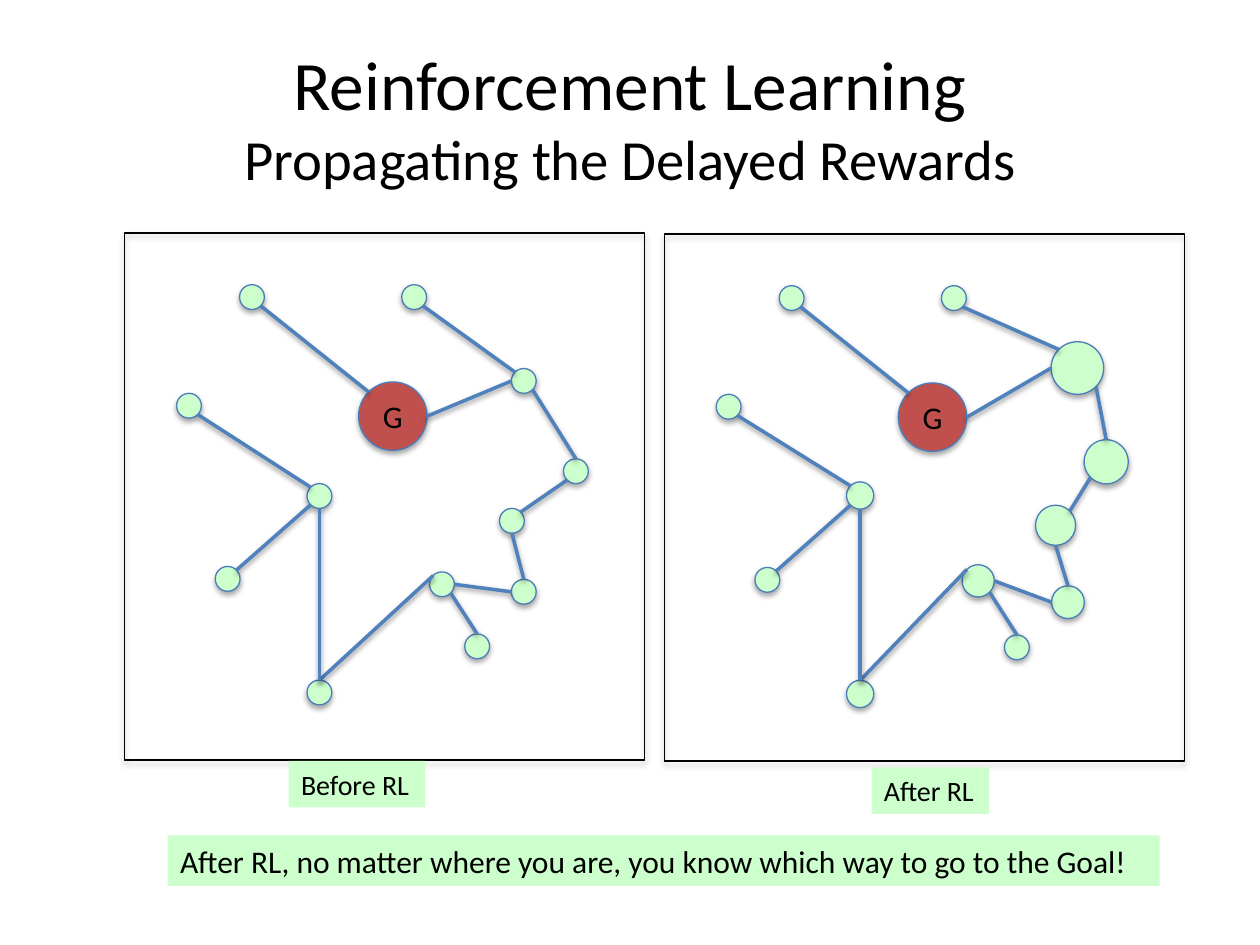
"""Build the slide on propagating delayed rewards in reinforcement learning."""
import math

import pptx
import pptx.dml.color
import pptx.enum.shapes
import pptx.enum.text
import pptx.oxml
import pptx.oxml.ns
import pptx.util

Cm = pptx.util.Cm
Pt = pptx.util.Pt
RGB = pptx.dml.color.RGBColor.from_string
SHAPE = pptx.enum.shapes.MSO_SHAPE
ALIGN = pptx.enum.text.PP_ALIGN
ANCHOR = pptx.enum.text.MSO_ANCHOR

COLORS = {
    "text": "000000",
    "frame": "000000",
    "goal": "C0504D",
    "state": "CCFFCC",
    "outline": "4A7DBA",
    "path": "4F81BD",
}

SMALL = 0.5
BEFORE = {
    "goal": (7.92, 8.39, 1.38),
    "upper right": (8.35, 5.99, SMALL),
    "gate": (10.56, 7.68, SMALL),
    "corner": (10.56, 11.93, SMALL),
    "hub": (6.44, 10.0, SMALL),
    "step": (11.61, 9.5, SMALL),
    "upper left": (5.08, 5.99, SMALL),
    "bottom": (6.44, 13.96, SMALL),
    "left": (3.81, 8.18, SMALL),
    "fork": (8.91, 11.78, SMALL),
    "lower left": (4.59, 11.67, SMALL),
    "spur": (9.62, 13.03, SMALL),
    "bend": (10.32, 10.5, SMALL),
}
AFTER = BEFORE | {
    "gate": (10.84, 7.4, 1.06),
    "corner": (10.65, 12.12, 0.66),
    "hub": (6.46, 9.97, 0.55),
    "step": (11.42, 9.29, 0.89),
    "bottom": (6.46, 13.97, 0.55),
    "fork": (8.84, 11.69, 0.65),
    "bend": (10.4, 10.57, 0.81),
}
PANELS = [(BEFORE, 0, 0), (AFTER, 10.88, 0.02)]

RIGHT, LOWER_RIGHT, BOTTOM, LOWER_LEFT = 0, 45, 90, 135
LEFT, UPPER_LEFT, TOP, UPPER_RIGHT = 180, 225, 270, 315
PATHS = [
    ("goal", UPPER_LEFT, "upper left", LOWER_RIGHT),
    ("goal", RIGHT, "gate", LEFT),
    ("upper right", LOWER_RIGHT, "gate", UPPER_LEFT),
    ("gate", LOWER_RIGHT, "step", TOP),
    ("step", LOWER_LEFT, "bend", UPPER_RIGHT),
    ("bend", BOTTOM, "corner", TOP),
    ("corner", LEFT, "fork", RIGHT),
    ("fork", UPPER_LEFT, "bottom", TOP),
    ("bottom", TOP, "hub", BOTTOM),
    ("hub", UPPER_LEFT, "left", LOWER_RIGHT),
    ("hub", LOWER_LEFT, "lower left", UPPER_RIGHT),
    ("fork", LOWER_RIGHT, "spur", TOP),
]

CAPTIONS = [
    ("Before RL", 16, (5.82, 15.34, 2.75, 0.94)),
    ("After RL", 16, (17.57, 15.47, 2.37, 0.94)),
    ("After RL, no matter where you are, you know which way to go to the Goal!",
     18, (3.38, 16.84, 20.0, 1.02)),
]


def style_line(shape, color, width, opacity, distance):
    """Give a shape or connector its line and a soft shadow below."""
    shape.line.color.rgb = RGB(COLORS[color])
    shape.line.width = Pt(width)
    shape._element.spPr.append(pptx.oxml.parse_xml(
        f'<a:effectLst {pptx.oxml.ns.nsdecls("a")}>'
        f'<a:outerShdw blurRad="{Pt(3.1)}" dist="{Pt(distance)}" dir="5400000"'
        f' rotWithShape="0"><a:srgbClr val="000000"><a:alpha val="{opacity}000"/>'
        '</a:srgbClr></a:outerShdw></a:effectLst>'))


def write(shape, lines, alignment, frame_format):
    """Write (text, size) lines as one paragraph with line breaks."""
    for name, value in frame_format.items():
        setattr(shape.text_frame, name, value)
    paragraph = shape.text_frame.paragraphs[0]
    paragraph.alignment = alignment
    for index, (text, size) in enumerate(lines):
        if index:
            paragraph.add_line_break()
        run = paragraph.add_run()
        run.text = text
        for name, value in {"name": "Calibri", "size": Pt(size)}.items():
            setattr(run.font, name, value)
        run.font.color.rgb = RGB(COLORS["text"])


presentation = pptx.Presentation()
presentation.slide_width = Cm(25.4)
presentation.slide_height = Cm(19.05)
slide = presentation.slides.add_slide(presentation.slide_layouts[6])

title = slide.shapes.add_textbox(Cm(1.27), Cm(0.76), Cm(22.86), Cm(3.18))
write(title,
      [("Reinforcement Learning", 39.6), ("Propagating the Delayed Rewards", 32.4)],
      ALIGN.CENTER, {"word_wrap": True, "vertical_anchor": ANCHOR.MIDDLE})

for states, offset_x, offset_y in PANELS:
    for state, (x, y, diameter) in states.items():
        circle = slide.shapes.add_shape(
            SHAPE.OVAL, Cm(x + offset_x - diameter / 2),
            Cm(y + offset_y - diameter / 2), Cm(diameter), Cm(diameter))
        circle.fill.solid()
        circle.fill.fore_color.rgb = RGB(COLORS["goal" if state == "goal" else "state"])
        style_line(circle, "outline", 0.75, 35, 1.8)
        if state == "goal":
            write(circle, [("G", 18)], ALIGN.CENTER,
                  {"word_wrap": True, "vertical_anchor": ANCHOR.MIDDLE})

    frame = slide.shapes.add_shape(
        SHAPE.RECTANGLE, Cm(2.51 + offset_x), Cm(4.7 + offset_y), Cm(10.49), Cm(10.62))
    frame.fill.background()
    style_line(frame, "frame", 0.75, 35, 1.8)

    for start, start_angle, end, end_angle in PATHS:
        points = []
        for state, angle in ((start, start_angle), (end, end_angle)):
            x, y, diameter = states[state]
            points.append(Cm(x + offset_x + diameter / 2 * math.cos(math.radians(angle))))
            points.append(Cm(y + offset_y + diameter / 2 * math.sin(math.radians(angle))))
        connector = slide.shapes.add_connector(
            pptx.enum.shapes.MSO_CONNECTOR.STRAIGHT, *points)
        style_line(connector, "path", 2, 38, 1.6)

for text, size, box in CAPTIONS:
    caption = slide.shapes.add_textbox(*map(Cm, box))
    caption.fill.solid()
    caption.fill.fore_color.rgb = RGB(COLORS["state"])
    write(caption, [(text, size)], ALIGN.LEFT, {"word_wrap": True})

presentation.save("out.pptx")
